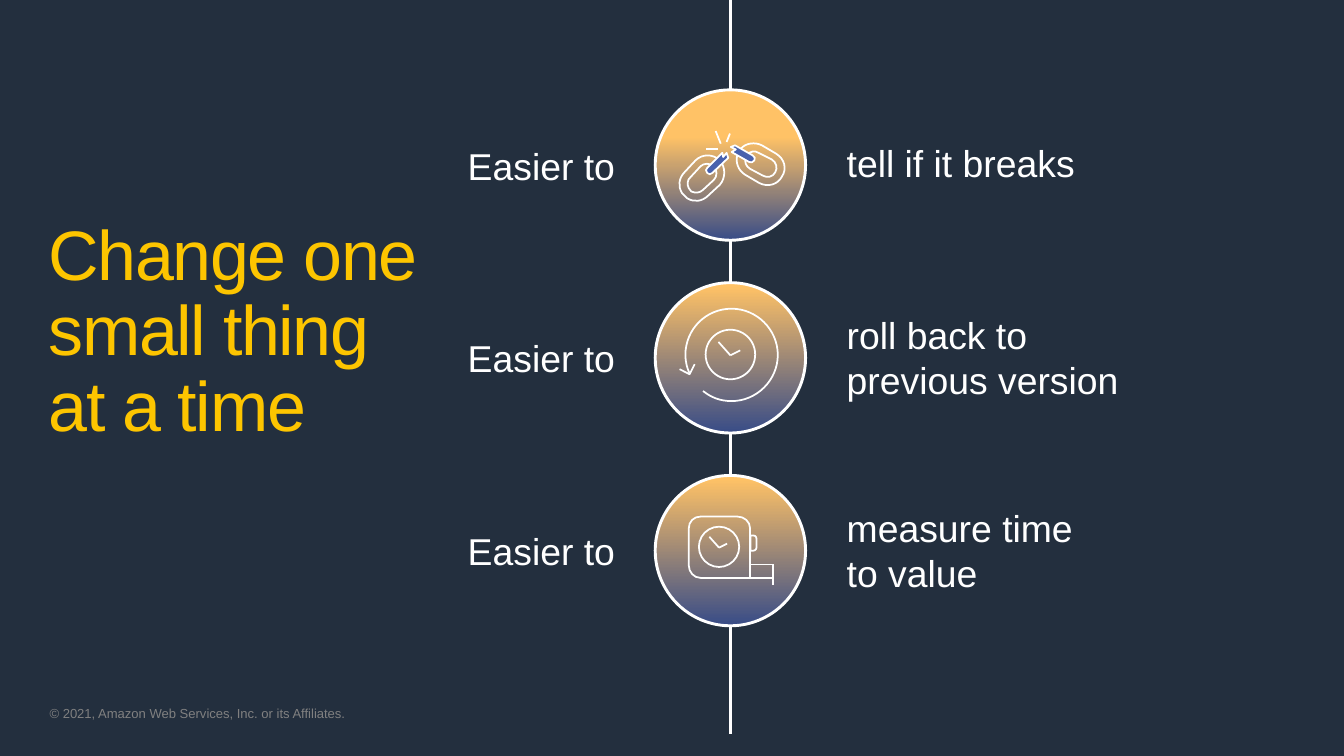
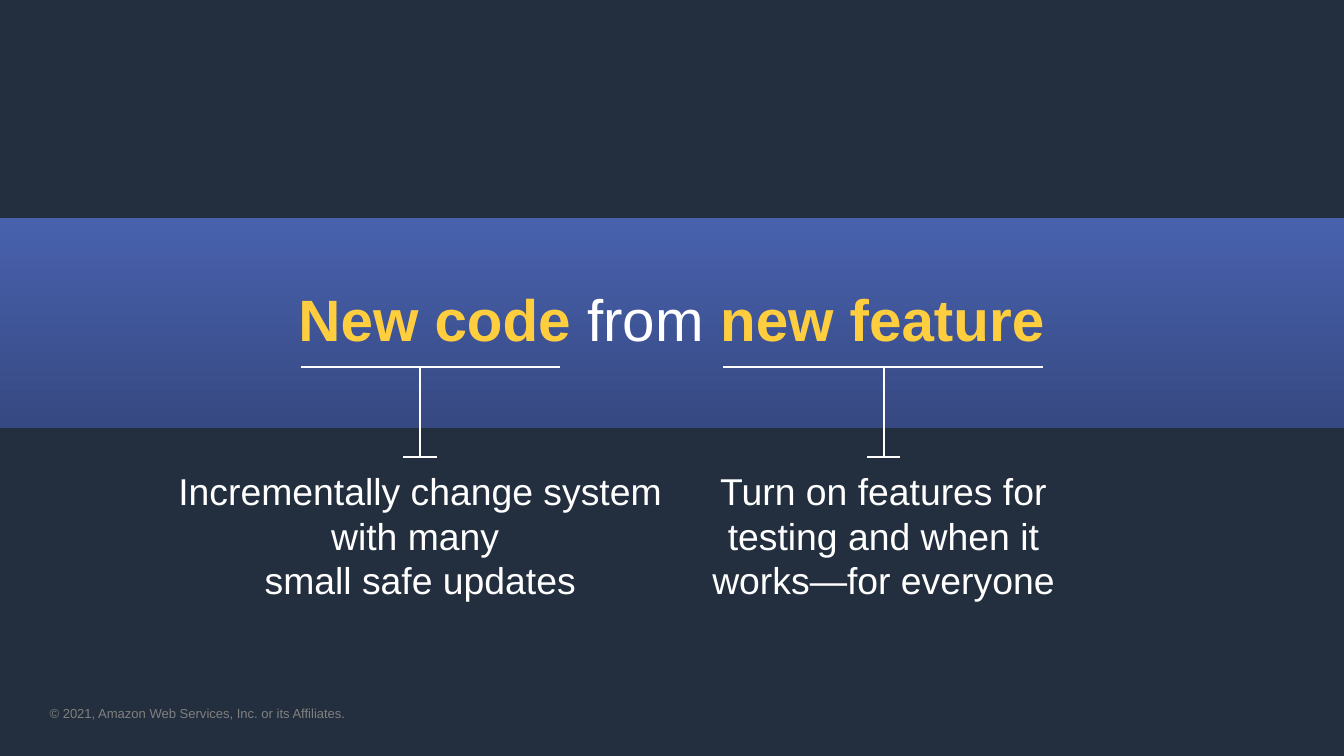
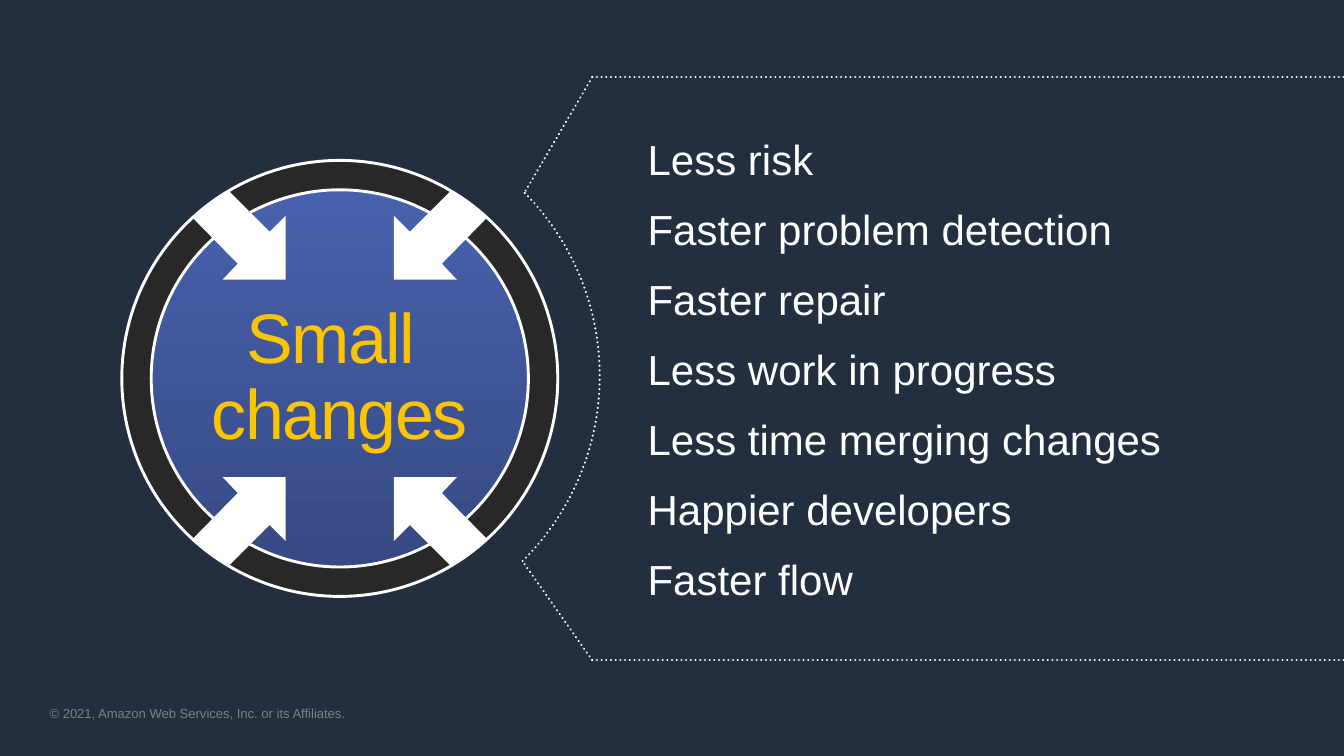
from lxml.etree import SubElement
from pptx import Presentation
from pptx.dml.color import RGBColor
from pptx.enum.dml import MSO_LINE
from pptx.enum.shapes import MSO_CONNECTOR, MSO_SHAPE as SHAPE
from pptx.enum.text import MSO_ANCHOR as ANCHOR, PP_ALIGN as ALIGN
from pptx.oxml.ns import qn
from pptx.util import Inches, Pt

NAVY = RGBColor(0x23, 0x2F, 0x3E)
WHITE = RGBColor(0xFF, 0xFF, 0xFF)
GREY = RGBColor(0x80, 0x80, 0x80)
YELLOW = RGBColor(0xFD, 0xC5, 0x00)
GOLD = RGBColor(0xFF, 0xCE, 0x3F)
ORANGE = RGBColor(0xFF, 0xC2, 0x66)
INDIGO = RGBColor(0x38, 0x4C, 0x87)
BLUE = RGBColor(0x48, 0x61, 0xAD)
DEEP_BLUE = RGBColor(0x36, 0x49, 0x82)
CHARCOAL = RGBColor(0x28, 0x28, 0x28)

FONT = "Arial"
SLIDE_W, SLIDE_H = 16, 9
COPYRIGHT = "© 2021, Amazon Web Services, Inc. or its Affiliates."
WIDE_INSETS = (0.16, 0.08)
TITLE_STYLE = {"size": 60, "color": YELLOW, "tracking": -120,
               "line_spacing": 0.9, "anchor": ANCHOR.MIDDLE}
BLUE_GRADIENT = ((0.02, BLUE), (1, DEEP_BLUE))

LINK_OUTLINES = (
    "M 1.23 .75 C 1.19 .72 1.13 .73 1.10 .77 L 1.08 .81 C 1.06 .86 1.08 .91 1.13 .94 "
    "L 1.28 1.02 C 1.33 1.05 1.40 1.04 1.43 .98 C 1.46 .93 1.44 .86 1.39 .83 Z "
    "M 1.27 .66 L 1.44 .76 C 1.54 .82 1.57 .94 1.51 1.03 C 1.46 1.13 1.34 1.16 1.24 1.11 "
    "L 1.07 1.01 C .99 .96 .95 .86 .98 .77 L 1.02 .70 C 1.08 .63 1.19 .62 1.27 .66 Z",
    "M .42 1.04 C .38 1.07 .38 1.13 .40 1.17 L .43 1.21 C .48 1.23 .53 1.23 .57 1.19 "
    "L .70 1.07 C .74 1.03 .74 .96 .70 .91 C .65 .87 .58 .87 .54 .91 Z "
    "M .35 .98 L .48 .84 C .56 .76 .69 .76 .77 .84 C .84 .92 .84 1.05 .77 1.13 "
    "L .63 1.26 C .56 1.33 .46 1.34 .38 1.29 L .32 1.23 C .27 1.15 .28 1.05 .35 .98 Z",
)
BROKEN_ENDS = (
    "M .95 .66 L 1.16 .78 C 1.19 .79 1.19 .82 1.18 .84 C 1.17 .86 1.14 .87 1.12 .86 "
    "L .91 .74 L .96 .71 L .90 .68 Z",
    "M .62 .93 L .80 .75 L .81 .80 L .85 .75 L .87 .81 L .68 .99 "
    "C .66 1.01 .64 1.01 .62 .99 C .60 .97 .60 .94 .62 .93 Z",
)
SPARKS = ((0.78, 0.64, 0.72, 0.49), (0.85, 0.62, 0.89, 0.52), (0.75, 0.7, 0.61, 0.7))
REWIND_ARC = (
    "M .57 1.29 C .67 1.37 .78 1.41 .91 1.41 C 1.21 1.41 1.46 1.16 1.46 .86 "
    "C 1.46 .56 1.21 .31 .91 .31 C .60 .31 .36 .56 .36 .86 C .36 .94 .38 1.02 .41 1.08"
)
REWIND_TIP = "M .47 .97 L .41 1.09 L .29 1.03"
TAPE_CASE = (
    "M .54 .49 L .98 .49 C 1.06 .49 1.13 .55 1.13 .63 L 1.13 1.22 L .54 1.22 "
    "C .46 1.22 .40 1.15 .40 1.07 L .40 .63 C .40 .55 .46 .49 .54 .49 Z"
)
INWARD_ARROW = (
    "M 1.27 .36 L 1.76 .85 L 1.95 .66 L 1.95 1.42 L 1.20 1.42 L 1.38 1.23 "
    "L .84 .68 L .93 .59 C 1.00 .54 1.06 .49 1.13 .44 Z"
)


def paint(shape, fill=None, line=None, width=1.5):
    shape.shadow.inherit = False
    if fill is None:
        shape.fill.background()
    elif isinstance(fill, RGBColor):
        shape.fill.solid()
        shape.fill.fore_color.rgb = fill
    else:
        shape.fill.gradient()
        shape.fill.gradient_angle = 270
        for stop, (position, color) in zip(shape.fill.gradient_stops, fill):
            stop.position = position
            stop.color.rgb = color
    if line is None:
        shape.line.fill.background()
    else:
        shape.line.color.rgb = line
        shape.line.width = Pt(width)


def make_dotted(shape):
    shape.line.dash_style = MSO_LINE.ROUND_DOT
    shape._element.spPr.find(qn("a:ln")).set("cap", "rnd")


def add_preset(slide, kind, box, **look):
    shape = slide.shapes.add_shape(kind, *map(Inches, box))
    paint(shape, **look)
    return shape


def add_line(slide, x1, y1, x2, y2, width=1.5):
    line = slide.shapes.add_connector(
        MSO_CONNECTOR.STRAIGHT, *map(Inches, (x1, y1, x2, y2)))
    line.line.color.rgb = WHITE
    line.line.width = Pt(width)
    SubElement(line._element.spPr, qn("a:effectLst"))
    return line


def trace(outline):
    contours = []
    tokens = iter(outline.split())
    for command in tokens:
        if command == "Z":
            contours[-1]["close"] = True
            continue
        count = 3 if command == "C" else 1
        pairs = [(float(next(tokens)), float(next(tokens))) for _ in range(count)]
        if command == "M":
            contours.append({"points": pairs, "close": False})
        else:
            contours[-1]["points"] += pairs
    return contours


def bend_segments(shape, outline):
    geometry = shape._element.find(".//" + qn("a:path"))
    nodes = iter(list(geometry))
    for command in filter(str.isalpha, outline.split()):
        node = next(nodes)
        if command == "C":
            curve = SubElement(geometry, qn("a:cubicBezTo"))
            node.addprevious(curve)
            for segment in (node, next(nodes), next(nodes)):
                curve.append(segment[0])
                geometry.remove(segment)


def add_outline(slide, left, top, outline, mirror_x=None, mirror_y=None, **look):
    def place(point):
        x, y = point
        x = x if mirror_x is None else mirror_x - x
        y = y if mirror_y is None else mirror_y - y
        return Inches(left + x), Inches(top + y)

    builder = None
    for contour in trace(outline):
        first, *rest = map(place, contour["points"])
        if builder is None:
            builder = slide.shapes.build_freeform(*first, scale=1.0)
        else:
            builder.move_to(*first)
        builder.add_line_segments(rest, close=contour["close"])
    shape = builder.convert_to_shape()
    bend_segments(shape, outline)
    paint(shape, **look)


def add_text(slide, box, paragraphs, size, color=WHITE, align=ALIGN.LEFT,
             anchor=ANCHOR.TOP, insets=(0.1, 0.05), tracking=None,
             line_spacing=None, before=0, after=0):
    frame = slide.shapes.add_textbox(*map(Inches, box)).text_frame
    side, edge = map(Inches, insets)
    layout = {"word_wrap": True, "vertical_anchor": anchor,
              "margin_left": side, "margin_right": side,
              "margin_top": edge, "margin_bottom": edge}
    for name, value in layout.items():
        setattr(frame, name, value)
    for index, content in enumerate(paragraphs):
        paragraph = frame.add_paragraph() if index else frame.paragraphs[0]
        spacing = {"alignment": align, "line_spacing": line_spacing,
                   "space_before": Pt(before if index else 0), "space_after": Pt(after)}
        for name, value in spacing.items():
            setattr(paragraph, name, value)
        parts = [(content, color, False)] if isinstance(content, str) else content
        for words, tint, bold in parts:
            for number, line in enumerate(words.split("\n")):
                if number:
                    paragraph.add_line_break()
                run = paragraph.add_run()
                run.text = line
                for name, value in {"name": FONT, "size": Pt(size), "bold": bold}.items():
                    setattr(run.font, name, value)
                run.font.color.rgb = tint
                if tracking is not None:
                    run._r.get_or_add_rPr().set("spc", str(tracking))


def new_slide(deck):
    slide = deck.slides.add_slide(deck.slide_layouts[6])
    add_text(slide, (0.59, 8.4, 7.78, 0.19), [COPYRIGHT], 11.2, GREY, insets=(0, 0))
    return slide


def draw_clock_face(slide, left, top, size):
    add_preset(slide, SHAPE.OVAL, (left, top, size, size), line=WHITE)
    hub_x, hub_y = left + size / 2, top + size / 2 + 0.01
    for dx, dy in ((-0.24, -0.27), (0.2, -0.1)):
        add_line(slide, hub_x, hub_y, hub_x + dx * size, hub_y + dy * size)


def draw_broken_chain(slide, left, top):
    for link, end in zip(LINK_OUTLINES, BROKEN_ENDS):
        add_outline(slide, left, top, link, line=WHITE)
        add_outline(slide, left, top, end, fill=BLUE, line=WHITE)
    for x1, y1, x2, y2 in SPARKS:
        add_line(slide, left + x1, top + y1, left + x2, top + y2)


def draw_rewind_clock(slide, left, top):
    for outline in (REWIND_ARC, REWIND_TIP):
        add_outline(slide, left, top, outline, line=WHITE)
    draw_clock_face(slide, left + 0.6, top + 0.56, 0.59)


def draw_tape_measure(slide, left, top):
    add_outline(slide, left, top, TAPE_CASE, line=WHITE)
    add_preset(slide, SHAPE.RECTANGLE, (left + 1.13, top + 1.06, 0.28, 0.16), line=WHITE)
    add_line(slide, left + 1.4, top + 1.06, left + 1.4, top + 1.3)
    draw_clock_face(slide, left + 0.52, top + 0.61, 0.48)
    button = add_preset(slide, SHAPE.ROUND_2_SAME_RECTANGLE,
                        (left + 1.08, top + 0.77, 0.18, 0.07), line=WHITE)
    button.rotation = 90
    button.adjustments[0] = 0.5


def draw_benefit(slide, left, top, benefit, draw_icon, gradient_start):
    size = 1.79
    add_text(slide, (left - 2.33, top + 0.58, 2.07, 0.64), ["Easier to"], 32)
    add_preset(slide, SHAPE.OVAL, (left, top, size, size), line=WHITE, width=2.5,
               fill=((gradient_start, ORANGE), (1, INDIGO)))
    draw_icon(slide, left, top)
    height = 0.74 + 0.5 * benefit.count("\n")
    add_text(slide, (left + 2.12, top + (size - height) / 2, 4.74, height),
             [benefit], 32, insets=WIDE_INSETS)


def build_one_change(deck):
    slide = new_slide(deck)
    add_text(slide, (0.48, 3.22, 4.85, 1.49), ["Change one small thing\nat a time"],
             **TITLE_STYLE)
    add_line(slide, 8.7, 0, 8.7, 8.74, width=2.5)
    benefits = (
        ("tell if it breaks", draw_broken_chain, 0.31),
        ("roll back to \nprevious version", draw_rewind_clock, 0.02),
        ("measure time \nto value", draw_tape_measure, 0.02),
    )
    first_top, last_top = 1.07, 5.66
    pitch = (last_top - first_top) / (len(benefits) - 1)
    for index, benefit in enumerate(benefits):
        draw_benefit(slide, 7.8, first_top + index * pitch, *benefit)


def draw_callout(slide, underline_left, underline_right, stem_x, text_box, words):
    top, bottom, foot = 4.37, 5.44, 0.2
    add_line(slide, underline_left, top, underline_right, top)
    add_line(slide, stem_x, top, stem_x, bottom)
    add_line(slide, stem_x - foot, bottom, stem_x + foot, bottom)
    add_text(slide, text_box, [words], 32, align=ALIGN.CENTER, insets=WIDE_INSETS)


def build_code_and_feature(deck):
    slide = new_slide(deck)
    add_preset(slide, SHAPE.RECTANGLE, (0, 2.59, SLIDE_W, 2.5), fill=BLUE_GRADIENT)
    heading = [("New code ", GOLD, True), ("from ", WHITE, False),
               ("new feature", GOLD, True)]
    add_text(slide, (1.16, 3.46, 13.67, 0.76), [heading], 50, align=ALIGN.CENTER,
             anchor=ANCHOR.MIDDLE, line_spacing=0.9)
    draw_callout(slide, 3.58, 6.67, 5, (1.93, 5.49, 6.15, 1.72),
                 "Incrementally change system with many \nsmall safe updates")
    draw_callout(slide, 8.61, 12.42, 10.52, (8.17, 5.49, 4.7, 1.72),
                 "Turn on features for testing and when it works—for everyone")


def draw_target(slide, left, top):
    ring, disc = 5.19, 4.49
    rim = (ring - disc) / 2
    ring_box = (left, top, ring, ring)
    add_preset(slide, SHAPE.OVAL, ring_box, fill=CHARCOAL)
    add_preset(slide, SHAPE.OVAL, (left + rim, top + rim, disc, disc),
               fill=BLUE_GRADIENT, line=WHITE, width=2.5)
    add_text(slide, (left + rim, top + 1.63, disc, 1.94), ["Small \nchanges"],
             align=ALIGN.CENTER, **TITLE_STYLE)
    for mirror_y in (None, ring):
        for mirror_x in (None, ring):
            add_outline(slide, left, top, INWARD_ARROW, mirror_x, mirror_y, fill=WHITE)
    add_preset(slide, SHAPE.OVAL, ring_box, line=WHITE, width=2.5)


def draw_dotted_frame(slide):
    arc = add_preset(slide, SHAPE.ARC, (0.93, 1.37, 6.21, 6.21), line=WHITE, width=2)
    for index, degrees in enumerate((315.46, 45.26)):
        arc.adjustments[index] = degrees * 0.6
    make_dotted(arc)
    corner_x = 7.05
    for edge_y, tip_x, tip_y in ((0.92, 6.24, 2.3), (7.86, 6.22, 6.68)):
        for end_x, end_y in ((SLIDE_W, edge_y), (tip_x, tip_y)):
            make_dotted(add_line(slide, corner_x, edge_y, end_x, end_y, width=2))


def build_small_changes(deck):
    slide = new_slide(deck)
    draw_target(slide, 1.45, 1.91)
    outcomes = ["Less risk", "Faster problem detection", "Faster repair",
                "Less work in progress", "Less time merging changes",
                "Happier developers", "Faster flow"]
    add_text(slide, (7.55, 1.28, 7.18, 6.22), outcomes, 36, anchor=ANCHOR.MIDDLE,
             insets=WIDE_INSETS, before=7.2, after=9.6)
    draw_dotted_frame(slide)


def main():
    deck = Presentation()
    deck.slide_width, deck.slide_height = Inches(SLIDE_W), Inches(SLIDE_H)
    backdrop = deck.slide_master.background.fill
    backdrop.solid()
    backdrop.fore_color.rgb = NAVY
    for build in (build_one_change, build_code_and_feature, build_small_changes):
        build(deck)
    deck.save("out.pptx")


if __name__ == "__main__":
    main()
